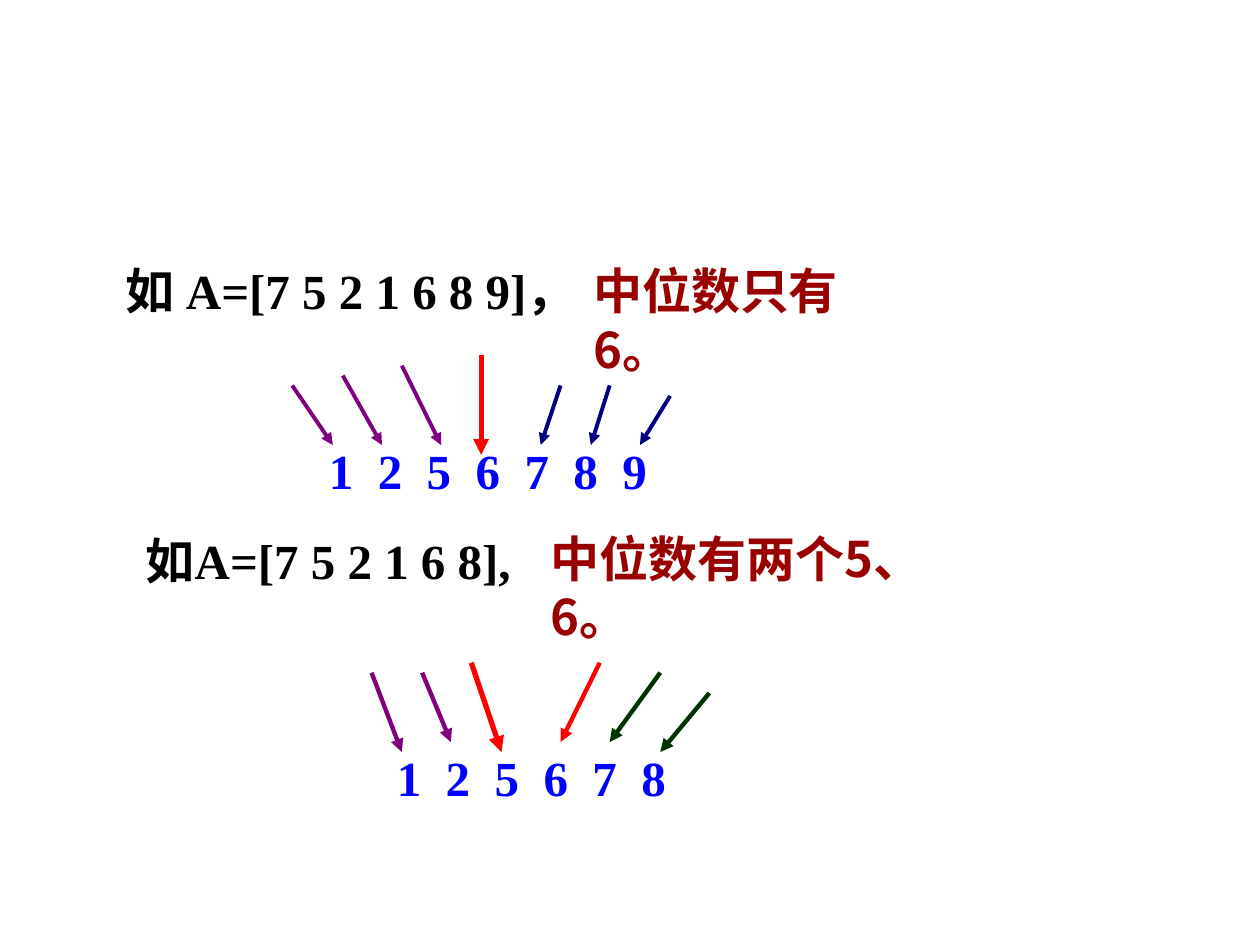
"""Build a slide that finds the median of an odd and an even list of numbers."""
from typing import NamedTuple

from lxml import etree
from pptx import Presentation
from pptx.dml.color import RGBColor
from pptx.enum.shapes import MSO_CONNECTOR
from pptx.enum.text import MSO_AUTO_SIZE
from pptx.oxml.ns import qn
from pptx.util import Cm, Pt

STRAIGHT = MSO_CONNECTOR.STRAIGHT
GROW = MSO_AUTO_SIZE.SHAPE_TO_FIT_TEXT

BLACK = RGBColor(0x00, 0x00, 0x00)
DARK_RED = RGBColor(0x99, 0x00, 0x00)
BLUE = RGBColor(0x00, 0x00, 0xFF)
PURPLE = RGBColor(0x80, 0x00, 0x80)
RED = RGBColor(0xFF, 0x00, 0x00)
NAVY = RGBColor(0x00, 0x00, 0x80)
GREEN = RGBColor(0x00, 0x33, 0x00)

CJK = "Noto Sans CJK SC"
SERIF = "Times New Roman"
SANS = "Arial"
LABEL_HEIGHT = 1.45


class Label(NamedTuple):
    left: float
    top: float
    width: float
    color: RGBColor
    runs: list[tuple[str, str]]


class Arrow(NamedTuple):
    x1: float
    y1: float
    x2: float
    y2: float
    color: RGBColor
    weight: float


LABELS = [
    Label(2.29, 5.13, 10.06, BLACK, [("如 ", CJK), ("A=[7 5 2 1 6 8 9]", SERIF), ("，", SANS)]),
    Label(11.71, 5.13, 6.93, DARK_RED, [("中位数只有6。", CJK)]),
    Label(6.38, 8.76, 6.93, BLUE, [("1  2  5  6  7  8  9", SERIF)]),
    Label(2.69, 10.57, 8.15, BLACK, [("如", SANS), ("A=[7 5 2 1 6 8],", SERIF)]),
    Label(10.85, 10.52, 9.4, DARK_RED, [("中位数有两个5、6。", CJK)]),
    Label(7.75, 14.94, 5.94, BLUE, [("1  2  5  6  7  8", SERIF)]),
]

ARROWS = [
    Arrow(5.89, 7.77, 6.71, 8.97, PURPLE, 2.25),
    Arrow(6.91, 7.57, 7.7, 8.97, PURPLE, 2.25),
    Arrow(8.1, 7.37, 8.89, 8.97, PURPLE, 2.25),
    Arrow(9.7, 7.16, 9.7, 9.17, RED, 3),
    Arrow(13.51, 7.98, 12.9, 8.97, NAVY, 2.25),
    Arrow(12.29, 7.77, 11.91, 8.97, NAVY, 2.25),
    Arrow(11.3, 7.77, 10.9, 8.97, NAVY, 2.25),
    Arrow(7.49, 13.56, 8.1, 15.16, PURPLE, 2.5),
    Arrow(8.51, 13.56, 9.09, 14.96, PURPLE, 2.5),
    Arrow(9.5, 13.36, 10.11, 15.16, RED, 3),
    Arrow(14.3, 13.97, 13.31, 15.16, GREEN, 2.5),
    Arrow(13.31, 13.56, 12.29, 14.96, GREEN, 2.5),
    Arrow(12.09, 13.36, 11.3, 14.96, RED, 2.5),
]


def add_label(s, label: Label) -> None:
    box = s.shapes.add_textbox(Cm(label.left), Cm(label.top), Cm(label.width), Cm(LABEL_HEIGHT))
    tf = box.text_frame
    tf.word_wrap = True
    tf.auto_size = GROW
    p = tf.paragraphs[0]
    for text, font in label.runs:
        r = p.add_run()
        r.text = text
        r.font.size = Pt(28)
        r.font.bold = True
        r.font.color.rgb = label.color
        r.font.name = font
        etree.SubElement(r.font._element, qn("a:ea"), typeface=font)


def add_arrow(s, arrow: Arrow) -> None:
    line = s.shapes.add_connector(
        STRAIGHT, Cm(arrow.x1), Cm(arrow.y1), Cm(arrow.x2), Cm(arrow.y2)
    )
    line.line.color.rgb = arrow.color
    line.line.width = Pt(arrow.weight)
    etree.SubElement(line.line._get_or_add_ln(), qn("a:tailEnd"), type="triangle")
    etree.SubElement(line._element.spPr, qn("a:effectLst"))


def main() -> None:
    prs = Presentation()
    prs.slide_width, prs.slide_height = Cm(25.4), Cm(19.05)
    s = prs.slides.add_slide(prs.slide_layouts[6])
    for label in LABELS:
        add_label(s, label)
    for arrow in ARROWS:
        add_arrow(s, arrow)
    prs.save("out.pptx")


if __name__ == "__main__":
    main()
